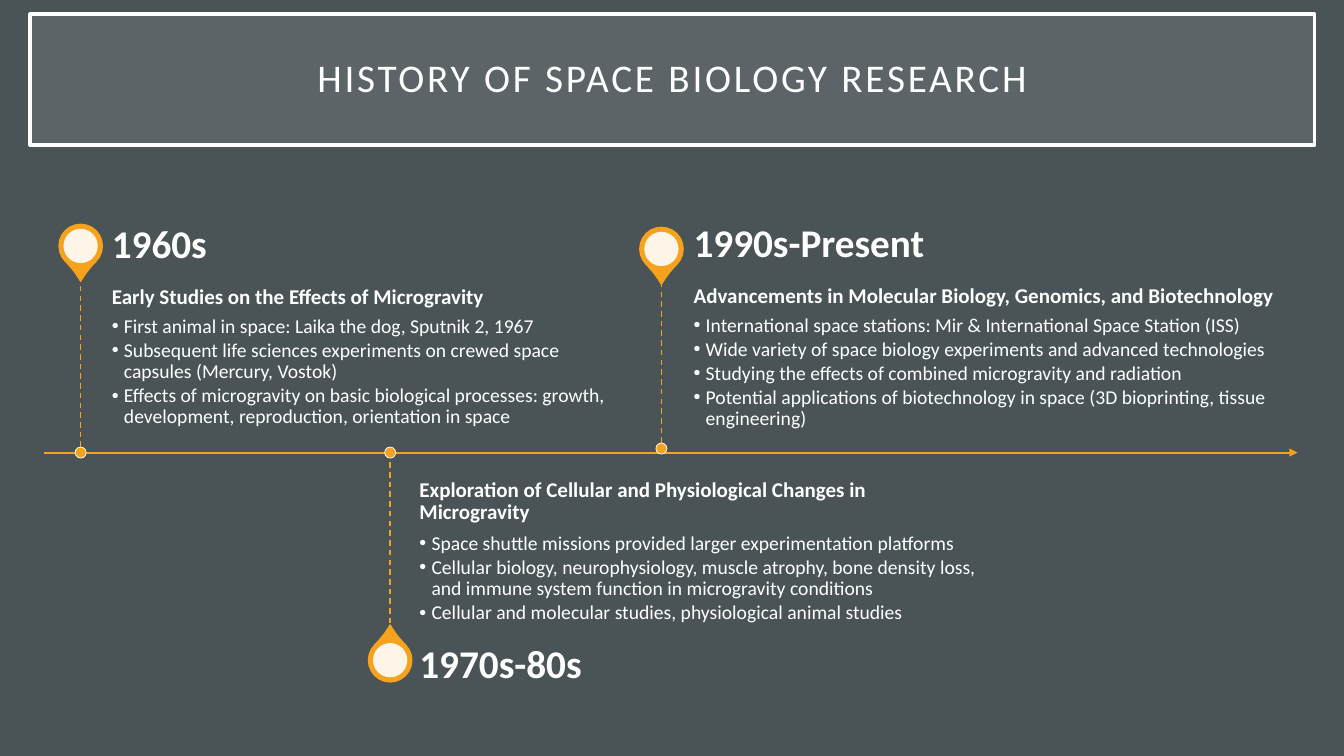
from pptx import Presentation
from pptx.dml.color import RGBColor
from pptx.enum.dml import MSO_LINE
from pptx.enum.shapes import MSO_CONNECTOR, MSO_SHAPE
from pptx.enum.text import MSO_ANCHOR, PP_ALIGN
from pptx.oxml.ns import qn
from pptx.util import Inches, Pt
from lxml.etree import SubElement

WHITE, ORANGE = "FFFFFF", "F6A21D"
PIN, CORE, DOT = 0.43, 0.34, 0.11
AXIS = 4.49
INSETS = ("margin_left", "margin_top", "margin_right", "margin_bottom")

rgb = RGBColor.from_string

deck = Presentation()
deck.slide_width, deck.slide_height = Inches(13.33), Inches(7.5)
page = deck.slides.add_slide(deck.slide_layouts[6])
page.background.fill.solid()
page.background.fill.fore_color.rgb = rgb("4A5356")


def add_outline(kind, bounds, fill, line=None, width=1, opacity=100):
    shape = page.shapes.add_shape(kind, *map(Inches, bounds))
    shape.shadow.inherit = False
    shape.fill.solid()
    shape.fill.fore_color.rgb = rgb(fill)
    if opacity < 100:
        color = shape.fill._xPr.find(qn("a:solidFill"))[0]
        SubElement(color, qn("a:alpha"), val=str(opacity * 1000))
    if line:
        shape.line.color.rgb = rgb(line)
        shape.line.width = Pt(width)
    else:
        shape.line.fill.background()
    return shape


def write_text(box, rows, anchor, insets):
    frame = box.text_frame
    frame.word_wrap = True
    frame.vertical_anchor = anchor
    for name, inset in zip(INSETS, insets):
        setattr(frame, name, Inches(inset))
    for index, (text, size, bold, bullet) in enumerate(rows):
        para = frame.add_paragraph() if index else frame.paragraphs[0]
        para.line_spacing = 0.9
        props = para._p.get_or_add_pPr()
        after = SubElement(props, qn("a:spcAft"))
        SubElement(after, qn("a:spcPct"), val="15000" if bullet else "35000")
        if bullet:
            para.level = 1
            props.set("marL", str(Inches(0.12)))
            props.set("indent", str(Inches(-0.12)))
            SubElement(props, qn("a:buFont"), typeface="Arial")
            SubElement(props, qn("a:buChar"), char="•")
        para.text = text
        for span in para.runs:
            span.font.color.rgb = rgb(WHITE)
            for name, value in {"name": "Calibri", "size": Pt(size), "bold": bold}.items():
                setattr(span.font, name, value)


title = add_outline(MSO_SHAPE.RECTANGLE, (0.3, 0.14, 12.74, 1.3), WHITE, WHITE, 2.5, 10)
write_text(title, [("HISTORY OF SPACE BIOLOGY RESEARCH", 28, False, False)],
           MSO_ANCHOR.MIDDLE, (0.2, 0.2, 0.2, 0.2))
title_para = title.text_frame.paragraphs[0]
title_para.alignment = PP_ALIGN.CENTER
title_para.runs[0].font._element.set("spc", "200")

eras = [
    {"year": "1960s", "x": 0.8, "pin_y": 2.44, "stem": (2.74, AXIS), "dot_y": AXIS,
     "rotation": 135, "left": 1.11, "width": 5.13, "year_top": 2.13, "body_top": 2.74,
     "anchor": MSO_ANCHOR.TOP, "insets": (0, 0.1, 0.1, 0.15),
     "heading": "Early Studies on the Effects of Microgravity",
     "points": [
         "First animal in space: Laika the dog, Sputnik 2, 1967",
         "Subsequent life sciences experiments on crewed space capsules (Mercury, Vostok)",
         "Effects of microgravity on basic biological processes: growth, development, "
         "reproduction, orientation in space"]},
    {"year": "1970s-80s", "x": 3.87, "pin_y": 6.55, "stem": (AXIS, 6.25), "dot_y": AXIS,
     "rotation": 315, "left": 4.16, "width": 5.55, "year_top": 6.29, "body_top": 4.54,
     "anchor": MSO_ANCHOR.BOTTOM, "insets": (0, 0.15, 0, 0.1),
     "heading": "Exploration of Cellular and Physiological Changes in\vMicrogravity",
     "points": [
         "Space shuttle missions provided larger experimentation platforms",
         "Cellular biology, neurophysiology, muscle atrophy, bone density loss, "
         "and immune system function in microgravity conditions",
         "Cellular and molecular studies, physiological animal studies"]},
    {"year": "1990s-Present", "x": 6.56, "pin_y": 2.47, "stem": (2.7, 4.46), "dot_y": 4.45,
     "rotation": 135, "left": 6.88, "width": 5.93, "year_top": 2.12, "body_top": 2.73,
     "anchor": MSO_ANCHOR.TOP, "insets": (0, 0.1, 0.1, 0.15),
     "heading": "Advancements in Molecular Biology, Genomics, and Biotechnology",
     "points": [
         "International space stations: Mir & International Space Station (ISS)",
         "Wide variety of space biology experiments and advanced technologies",
         "Studying the effects of combined microgravity and radiation",
         "Potential applications of biotechnology in space (3D bioprinting, tissue engineering)"]},
]

lines = [(0.44, AXIS, 12.87, AXIS, 1.5, False)]
lines += [(era["x"], era["stem"][0], era["x"], era["stem"][1], 1, True) for era in eras]
for *ends, width, dashed in lines:
    rule = page.shapes.add_connector(MSO_CONNECTOR.STRAIGHT, *map(Inches, ends))
    rule.line.color.rgb = rgb(ORANGE)
    rule.line.width = Pt(width)
    if dashed:
        rule.line.dash_style = MSO_LINE.DASH
    else:
        SubElement(rule.line._get_or_add_ln(), qn("a:tailEnd"), type="triangle")
    SubElement(rule._element.spPr, qn("a:effectLst"))

for era in eras:
    x, pin_y = era["x"], era["pin_y"]
    pin = add_outline(MSO_SHAPE.TEAR, (x - PIN / 2, pin_y - PIN / 2, PIN, PIN), ORANGE, ORANGE)
    pin.adjustments[0] = 1.15
    pin.rotation = era["rotation"]
    add_outline(MSO_SHAPE.OVAL, (x - CORE / 2, pin_y - CORE / 2, CORE, CORE), WHITE, opacity=90)
    add_outline(MSO_SHAPE.OVAL, (x - DOT / 2, era["dot_y"] - DOT / 2, DOT, DOT),
                ORANGE, WHITE, 0.5)

    left, width = era["left"], era["width"]
    body = page.shapes.add_textbox(*map(Inches, (left, era["body_top"], width, 1.75)))
    rows = [(era["heading"], 15, True, False)]
    rows += [(point, 14, False, True) for point in era["points"]]
    write_text(body, rows, era["anchor"], era["insets"])
    year = page.shapes.add_textbox(*map(Inches, (left, era["year_top"], width, 0.62)))
    write_text(year, [(era["year"], 28, True, False)], MSO_ANCHOR.MIDDLE, (0, 0, 0.19, 0))

deck.save("out.pptx")
